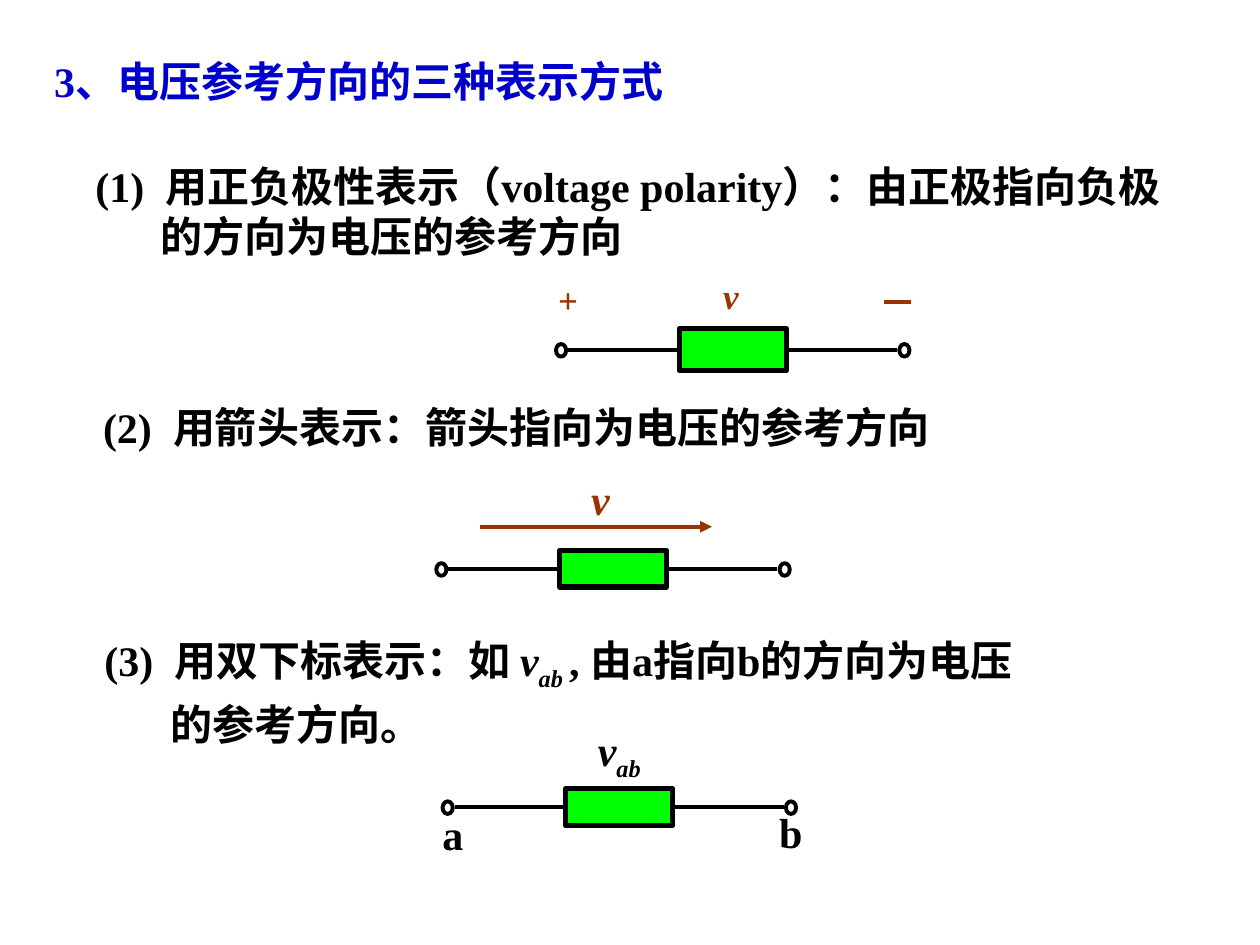
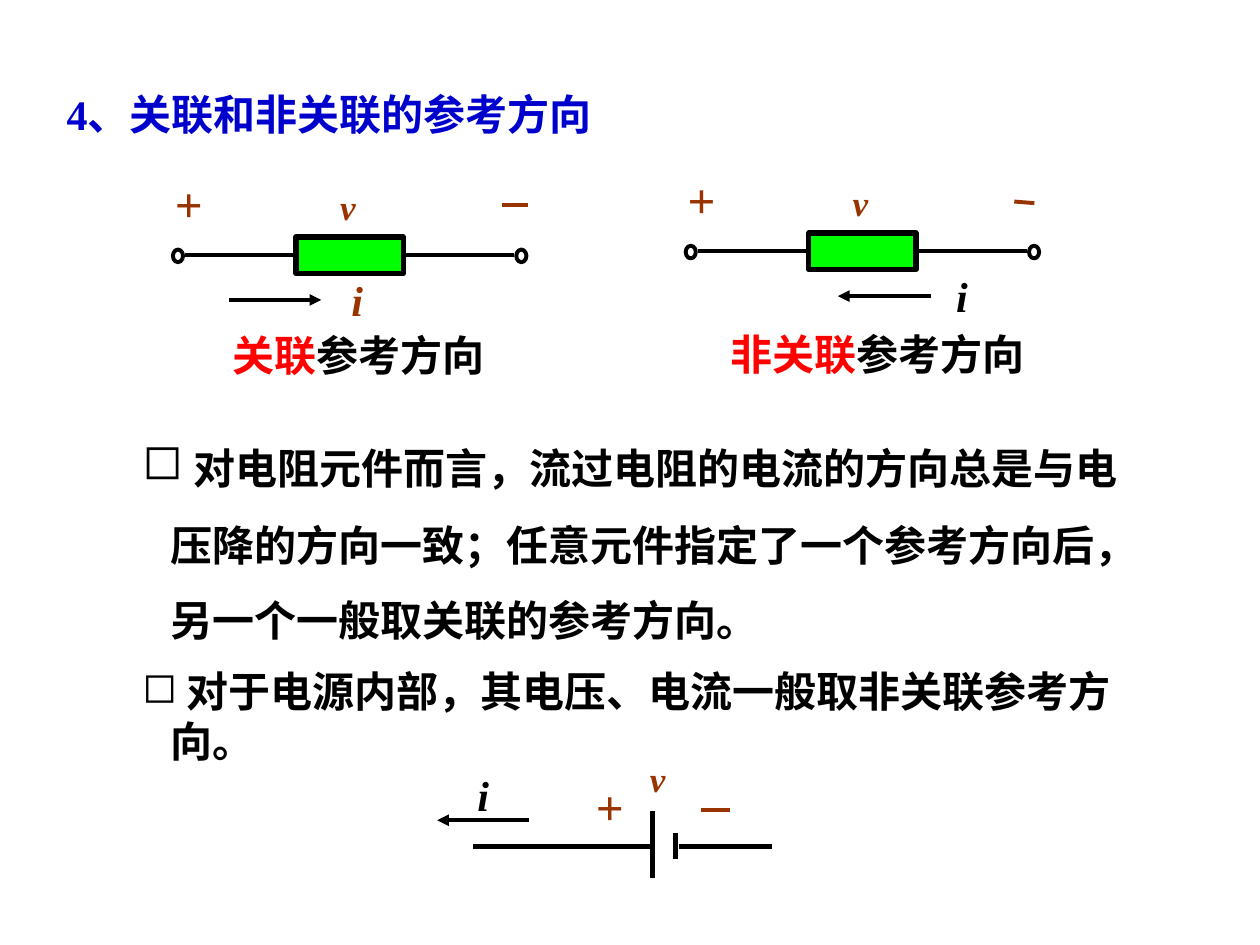
from dataclasses import dataclass
from typing import NamedTuple

from lxml import etree
from pptx import Presentation
from pptx import util as u
from pptx.dml import color as c
from pptx.enum import shapes, text
from pptx.oxml import ns

Pt = u.Pt
COLORS = {"ink": "000000", "heading": "0000CC", "mark": "993300",
          "key": "FF0000", "body": "00FF00", "paper": "FFFFFF"}
SERIF, SANS = "Times New Roman", "Noto Sans CJK SC"
LINE = 28.6  # line pitch of 24 pt text
LEFT, CENTER = text.PP_ALIGN.LEFT, text.PP_ALIGN.CENTER
BODY_WIDTH, LEAD, TERMINAL = 61.2, 63.4, 5.8


# What the slides are made of
@dataclass
class Span:
    text: str
    color: str = "ink"
    size: float = 24
    font: str = SERIF
    bold: bool = True
    italic: bool = False
    baseline: int = 0
    tracking: float = 0


@dataclass
class Para:
    spans: list[Span]
    align: text.PP_ALIGN = LEFT
    pitch: float | None = LINE
    left: float = 0
    first: float = 0
    before: float = 0
    bullet: str = ""


class Box(NamedTuple):
    left: float
    top: float
    width: float
    height: float


class Point(NamedTuple):
    x: float
    y: float


class Resistor(NamedTuple):
    left: float
    top: float
    height: float = 20.9


class Mark(NamedTuple):
    left: float
    top: float
    text: str
    color: str = "mark"
    size: float = 20
    italic: bool = True
    width: float = 23
    height: float = 31


def rgb(name: str) -> c.RGBColor:
    return c.RGBColor.from_string(COLORS[name])


def set_all(target, values: dict) -> None:
    for name, value in values.items():
        setattr(target, name, value)


# Text
def add_span(para, span: Span) -> None:
    for index, line in enumerate(span.text.split("\n")):
        if index:
            para.add_line_break()
        run = para.add_run()
        run.text = line
        set_all(run.font, {"name": span.font, "size": Pt(span.size),
                           "bold": span.bold, "italic": span.italic})
        run.font.color.rgb = rgb(span.color)
        props = run._r.get_or_add_rPr()
        etree.SubElement(props, ns.qn("a:ea")).set("typeface", SANS)
        if span.baseline:
            props.set("baseline", str(span.baseline * 1000))
        if span.tracking:
            props.set("spc", str(int(span.tracking * 100)))


def add_text(page, box: Box, paras: list[Para], wrap: bool = True,
             anchor=text.MSO_ANCHOR.MIDDLE) -> None:
    frame = page.shapes.add_textbox(*map(Pt, box)).text_frame
    set_all(frame, {"word_wrap": wrap, "vertical_anchor": anchor})
    for index, item in enumerate(paras):
        para = frame.add_paragraph() if index else frame.paragraphs[0]
        props = para._p.get_or_add_pPr()
        props.set("marL", str(Pt(item.left)))
        props.set("indent", str(Pt(item.first)))
        if item.bullet:
            etree.SubElement(props, ns.qn("a:buChar")).set("char", item.bullet)
        para.alignment = item.align
        if item.pitch:
            para.line_spacing = Pt(item.pitch)
        if item.before:
            para.space_before = Pt(item.before)
        for span in item.spans:
            add_span(para, span)


def add_heading(page, left: float, top: float, width: float, words: str) -> None:
    add_text(page, Box(left, top, width, 36), [Para([Span(words, "heading")])])


def add_mark(page, mark: Mark) -> None:
    span = Span(mark.text, mark.color, mark.size, italic=mark.italic)
    add_text(page, Box(mark.left, mark.top, mark.width, mark.height),
             [Para([span], CENTER, pitch=None)], wrap=False)


def numbered(number: str, *spans: Span) -> list[Span]:
    return [Span(number), Span(" ", tracking=6), *spans]


# Circuit parts
def add_line(page, start: Point, end: Point, color: str = "ink",
             width: float = 2.25, arrow: bool = False):
    line = page.shapes.add_connector(shapes.MSO_CONNECTOR.STRAIGHT,
                                     *map(Pt, (*start, *end)))
    line.line.color.rgb = rgb(color)
    line.line.width = Pt(width)
    if arrow:
        tail = etree.SubElement(line.line._get_or_add_ln(), ns.qn("a:tailEnd"))
        tail.set("type", "triangle")
    etree.SubElement(line._element.spPr, ns.qn("a:effectLst"))
    return line


def add_figure(page, kind, box: Box, fill: str, width: float):
    figure = page.shapes.add_shape(kind, *map(Pt, box))
    figure.shadow.inherit = False
    figure.fill.solid()
    figure.fill.fore_color.rgb = rgb(fill)
    figure.line.color.rgb = rgb("ink")
    figure.line.width = Pt(width)
    return figure


def add_resistor(page, part: Resistor) -> None:
    left, top, height = part
    right, middle = left + BODY_WIDTH, top + height / 2
    body = add_figure(page, shapes.MSO_SHAPE.RECTANGLE,
                      Box(left, top, BODY_WIDTH, height), "body", 3)
    for side, edge, sign in ((1, left, -1), (3, right, 1)):
        outer = edge + sign * LEAD
        wire = add_line(page, Point(edge, middle), Point(outer, middle))
        wire.begin_connect(body, side)
        center = outer + sign * (TERMINAL / 2 + 1.2)
        add_figure(page, shapes.MSO_SHAPE.OVAL,
                   Box(center - TERMINAL / 2, middle - 3.2, TERMINAL, 7.2),
                   "paper", 2.25)


def add_minus(page, start: Point, end: Point) -> None:
    add_line(page, start, end, "mark")


def add_arrow(page, start: Point, length: float, color: str = "ink") -> None:
    add_line(page, start, Point(start.x + length, start.y), color, arrow=True)


# Slide 1: three notations for the voltage direction
def build_notations(page) -> None:
    add_heading(page, 23.8, 28.1, 387.4, "3、电压参考方向的三种表示方式")
    polarity = "用正负极性表示（voltage polarity）：由正极指向负极\n的方向为电压的参考方向"
    add_text(page, Box(47.5, 83.5, 631.4, 74.2),
             [Para(numbered("(1)", Span(polarity)), left=37.4, first=-37.4)])
    add_text(page, Box(51.8, 226.1, 488.9, 36),
             [Para(numbered("(2)", Span("用箭头表示：箭头指向为电压的参考方向")))])
    subscripts = numbered(
        "(3)", Span("用双下标表示：如 "), Span("v", italic=True),
        Span("ab ", italic=True, baseline=-25), Span(", 由a指向b的方向为电压"))
    add_text(page, Box(52.6, 365, 620.6, 64.8),
             [Para(subscripts, left=30.2, first=-30.2),
              Para([Span("的参考方向。")], pitch=32.5, left=38)])

    for part in (Resistor(388.1, 187.9, 23.8), Resistor(319.7, 314.6),
                 Resistor(323.3, 450.7)):
        add_resistor(page, part)
    add_minus(page, Point(505.4, 172.8), Point(520.6, 172.8))
    add_arrow(page, Point(274.3, 301), 132.5, "mark")

    for mark in (Mark(311.8, 153.4, "+", italic=False, height=35.3),
                 Mark(406.1, 151.2, "v", height=35.3),
                 Mark(330.5, 267.1, "v", size=24, width=25.2, height=36),
                 Mark(245.5, 458.6, "a", "ink", 24, False, 26.6, 36),
                 Mark(437.8, 457.2, "b", "ink", 24, False, 28.1, 36)):
        add_mark(page, mark)
    add_text(page, Box(333.4, 412.6, 41, 36),
             [Para([Span("v", italic=True),
                    Span("ab", italic=True, baseline=-25)], CENTER, None)],
             wrap=False)


# Slide 2: associated and non-associated directions
def build_associations(page) -> None:
    add_heading(page, 31, 46.8, 629.3, "4、关联和非关联的参考方向")
    for left, top, minus_width, minus_drop in ((169.2, 135.4, 15.1, 0),
                                               (462.2, 133.2, 11.5, 0.9)):
        add_resistor(page, Resistor(left, top))
        add_mark(page, Mark(left - 76.3, top - 40, "+", size=28,
                            italic=False, height=41))
        add_mark(page, Mark(left + 18, top - 33.1, "v"))
        minus = Point(left + 117.4, top - 18)
        add_minus(page, minus, Point(minus.x + minus_width, minus.y + minus_drop))

    add_arrow(page, Point(131, 171.4), 52.6)
    add_arrow(page, Point(532.1, 169.2), -53.3)
    for mark in (Mark(193.7, 153.4, "i", "mark", 24, width=20.9, height=36),
                 Mark(539.3, 151.2, "i", "ink", 24, width=20.9, height=36)):
        add_mark(page, mark)
    for box, key in ((Box(125.3, 185, 159.1, 36), "关联"),
                     (Box(409.7, 184.3, 183.6, 36), "非关联")):
        add_text(page, box, [Para([Span(key, "key", font=SANS),
                                   Span("参考方向", font=SANS)], CENTER)],
                 wrap=False)

    # Rules for resistors and sources
    resistor_rule = ("对电阻元件而言，流过电阻的电流的方向总是与电压降的方向一致；"
                     "任意元件指定了一个参考方向后，另一个一般取关联的参考方向。")
    source_rule = " 对于电源内部，其电压、电流一般取非关联参考方向。"
    hanging = {"left": 16.2, "first": -16.2, "bullet": "◻"}
    add_text(page, Box(74.2, 236, 589.7, 210),
             [Para([Span(" ", size=28, font="Arial", bold=False),
                    Span(resistor_rule, font=SANS)], pitch=43, **hanging),
              Para([Span(source_rule, font=SANS)], before=12, **hanging)],
             anchor=text.MSO_ANCHOR.TOP)

    # Voltage source
    for start, end in ((Point(385.9, 491), Point(385.9, 475.9)),
                       (Point(373, 501.8), Point(373, 463.7)),
                       (Point(371.5, 483.8), Point(270, 483.8)),
                       (Point(388.1, 483.8), Point(441.4, 483.8))):
        add_line(page, start, end, width=3)
    add_minus(page, Point(400.7, 463), Point(417, 463))
    add_arrow(page, Point(302.4, 468.7), -52.6)
    for mark in (Mark(333.4, 439.9, "+", size=28, italic=False, height=41),
                 Mark(265.7, 436.3, "i", "ink", 24, width=20.9, height=36),
                 Mark(364.3, 429.1, "v")):
        add_mark(page, mark)


def main() -> None:
    deck = Presentation()
    set_all(deck, {"slide_width": Pt(720), "slide_height": Pt(540)})
    for build in (build_notations, build_associations):
        build(deck.slides.add_slide(deck.slide_layouts[6]))
    deck.save("out.pptx")


if __name__ == "__main__":
    main()
